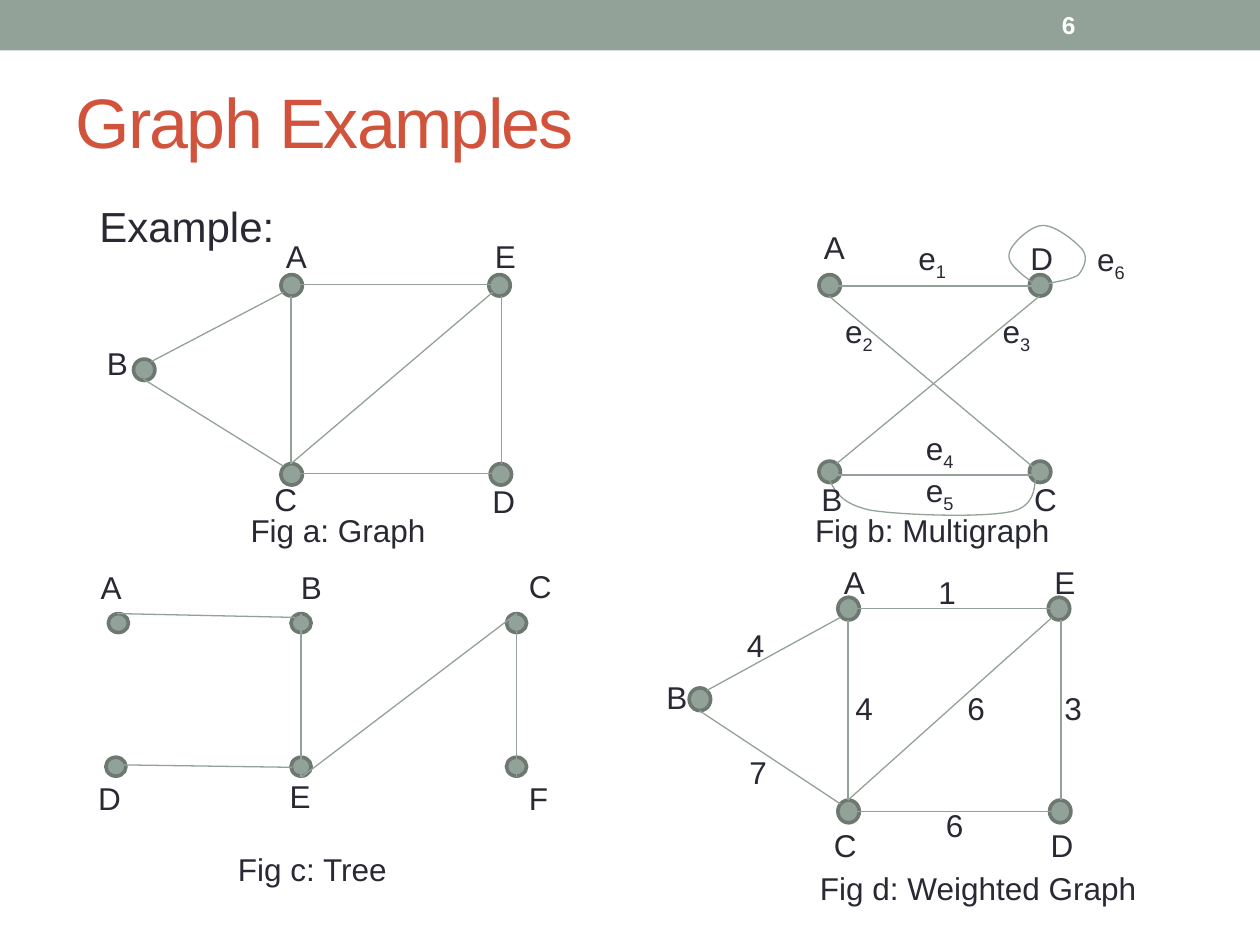
from lxml.etree import SubElement
from pptx import Presentation
from pptx.dml.color import RGBColor as Rgb
from pptx.enum.shapes import MSO_CONNECTOR as Conn, MSO_SHAPE as Kind
from pptx.enum.text import MSO_ANCHOR as Anchor, PP_ALIGN as Align
from pptx.oxml.ns import qn
from pptx.util import Pt

PX = 9144
HUE = {"bar": "93A299", "rim": "6D7871", "title": "D2533C",
       "ink": "292934", "white": "FFFFFF"}

GRAPH = {
    "box": (75, 183), "dot": (17, 17),
    "nodes": [(148, 35), (148, 185), (313, 35), (31, 102), (314, 185)],
    "edges": [(150, 49, 45, 104), (39, 118, 150, 187), (156, 52, 156, 185),
              (156, 43, 322, 43), (156, 193, 322, 193), (323, 52, 323, 185),
              (156, 185, 316, 49)],
    "names": [("A", 142, 0), ("D", 306, 195), ("C", 133, 193), ("B", 0, 85),
              ("E", 308, 0)],
    "title": ("Fig a: Graph", 114, 218, 187),
}
MULTI = {
    "box": (637, 176), "dot": (17, 17),
    "nodes": [(180, 190), (13, 190), (180, 42), (13, 42)],
    "edges": [(21, 51, 188, 51), (21, 201, 188, 201), (21, 59, 194, 204),
              (188, 59, 27, 192)],
    "curves": [
        [(20, 202), (25, 213), (30, 224), (54, 229), (79, 233), (144, 235),
         (166, 230), (188, 225), (183, 204), (186, 199), (188, 194),
         (186, 196), (184, 199)],
        [(182, 48), (172, 40), (162, 33), (164, 25), (165, 18), (181, 3),
         (190, 3), (200, 2), (217, 16), (222, 22), (227, 29), (223, 37),
         (219, 42), (214, 46), (198, 48), (195, 49), (192, 50), (196, 49),
         (199, 48)],
    ],
    "names": [("A", 7, 0), ("D", 171, 9), ("C", 174, 200), ("B", 5, 200),
              ("e2", 24, 67), ("e1", 82, 9), ("e3", 149, 67),
              ("e5", 88, 193), ("e4", 88, 160), ("e6", 224, 10)],
    "title": ("Fig b: Multigraph", 0, 225, 238),
}
TREE = {
    "box": (68, 445), "dot": (16, 15),
    "nodes": [(163, 156), (163, 42), (16, 156), (18, 42), (334, 156),
              (334, 42)],
    "edges": [(25, 42, 166, 45), (24, 162, 164, 164), (171, 42, 171, 172),
              (342, 42, 171, 172), (342, 42, 342, 172)],
    "names": [("A", 2, 1), ("F", 342, 168), ("D", 0, 168), ("E", 152, 167),
              ("B", 161, 1), ("C", 342, 0)],
    "title": ("Fig c: Tree", 111, 225, 148),
}
WEIGHT = {
    "box": (519, 442), "dot": (17, 18),
    "nodes": [(146, 32), (146, 193), (313, 32), (28, 104), (314, 193)],
    "edges": [(148, 48, 42, 106), (36, 122, 148, 196), (154, 50, 154, 193),
              (154, 41, 322, 41), (154, 202, 322, 202), (323, 50, 323, 193),
              (154, 193, 316, 48)],
    "names": [("A", 141, 0), ("D", 305, 209), ("B", 0, 91), ("C", 133, 209),
              ("E", 308, 0), ("7", 66, 151), ("4", 64, 50), ("6", 222, 193),
              ("4", 150, 100), ("1", 216, 8), ("3", 316, 100),
              ("6", 239, 100)],
    "title": ("Fig d: Weighted Graph", 122, 243, 284),
}


def emu(*vals):
    """Turn px lengths into EMU."""
    return [round(v * PX) for v in vals]


def style(run, size, hue, bold=False):
    """Format one run."""
    font = run.font
    font.name, font.size, font.bold = "Arial", Pt(size), bold
    font.color.rgb = Rgb.from_string(HUE[hue])


def paint(shape, fill, line=None, width=0.75):
    """Set fill and line of a shape and drop its shadow."""
    shape.shadow.inherit = False
    if fill:
        shape.fill.solid()
        shape.fill.fore_color.rgb = Rgb.from_string(HUE[fill])
    else:
        shape.fill.background()
    if line:
        shape.line.color.rgb = Rgb.from_string(HUE[line])
        shape.line.width = Pt(width)
    else:
        shape.line.fill.background()


def write(slide, box, text, size=18, hue="ink", bold=False):
    """Add a text box with one line of text."""
    frame = slide.shapes.add_textbox(*emu(*box)).text_frame
    frame.word_wrap = True
    frame.text = text
    style(frame.paragraphs[0].runs[0], size, hue, bold)
    return frame


def label(slide, box, text):
    """Add a letter or weight, with any second sign set as a subscript."""
    para = write(slide, box, text[0]).paragraphs[0]
    if text[1:]:
        run = para.add_run()
        run.text = text[1:]
        style(run, 18, "ink")
        run.font._element.set("baseline", "-25000")


def edge(slide, ends):
    """Join two points with a thin line."""
    line = slide.shapes.add_connector(Conn.STRAIGHT, *emu(*ends))
    line.line.color.rgb = Rgb.from_string(HUE["bar"])
    line.line.width = Pt(0.75)
    SubElement(line._element.spPr, qn("a:effectLst"))


def bend(a, b, c, d, steps=12):
    """List points along one cubic curve."""
    for i in range(1, steps + 1):
        t = i / steps
        u = 1 - t
        yield tuple(u**3 * p + 3 * u * u * t * q + 3 * u * t * t * r + t**3 * s
                    for p, q, r, s in zip(a, b, c, d))


def curve(slide, pts):
    """Draw an open chain of cubic curves."""
    path = slide.shapes.build_freeform(*emu(*pts[0]), scale=1.0)
    dots = [emu(*p) for i in range(0, len(pts) - 1, 3)
            for p in bend(*pts[i:i + 4])]
    path.add_line_segments(dots, close=False)
    paint(path.convert_to_shape(), None, "bar")


def figure(slide, box, fig):
    """Draw one graph with its nodes, edges, names and caption."""
    x, y = box
    for dx, dy in fig["nodes"]:
        dot = slide.shapes.add_shape(
            Kind.OVAL, *emu(x + dx, y + dy, *fig["dot"]))
        paint(dot, "bar", "rim", 2.08)
    for x1, y1, x2, y2 in fig["edges"]:
        edge(slide, (x + x1, y + y1, x + x2, y + y2))
    for pts in fig.get("curves", []):
        curve(slide, [(x + dx, y + dy) for dx, dy in pts])
    for text, dx, dy in fig["names"]:
        label(slide, (x + dx, y + dy, 56, 40), text)
    text, dx, dy, wide = fig["title"]
    write(slide, (x + dx, y + dy, wide, 40), text)


def head(slide, box):
    """Place the top bar, page number and title."""
    x, y, wide, high = box
    bar = slide.shapes.add_shape(Kind.RECTANGLE, *emu(x, y, wide, 40))
    paint(bar, "bar")
    page = write(slide, (x + 833, y + 2, 117, 36), "6", 14, "white", True)
    page.vertical_anchor = Anchor.MIDDLE
    title = slide.shapes.title
    title.left, title.top, title.width, title.height = emu(
        x + 50, y + 42, wide - 100, high - 42)
    frame = title.text_frame
    frame.text = "Graph Examples"
    frame.vertical_anchor = Anchor.MIDDLE
    para = frame.paragraphs[0]
    para.alignment = Align.LEFT
    style(para.runs[0], 40, "title")
    para.runs[0].font._element.set("spc", "-100")


def main():
    """Build and save the slide."""
    deck = Presentation()
    deck.slide_width, deck.slide_height = emu(1000, 750)
    slide = deck.slides.add_slide(deck.slide_layouts[5])
    head(slide, (0, 0, 1000, 150))
    write(slide, (69, 154, 900, 533), "Example:", 24)
    for fig in (TREE, WEIGHT, MULTI, GRAPH):
        figure(slide, fig["box"], fig)
    deck.save("out.pptx")


if __name__ == "__main__":
    main()
